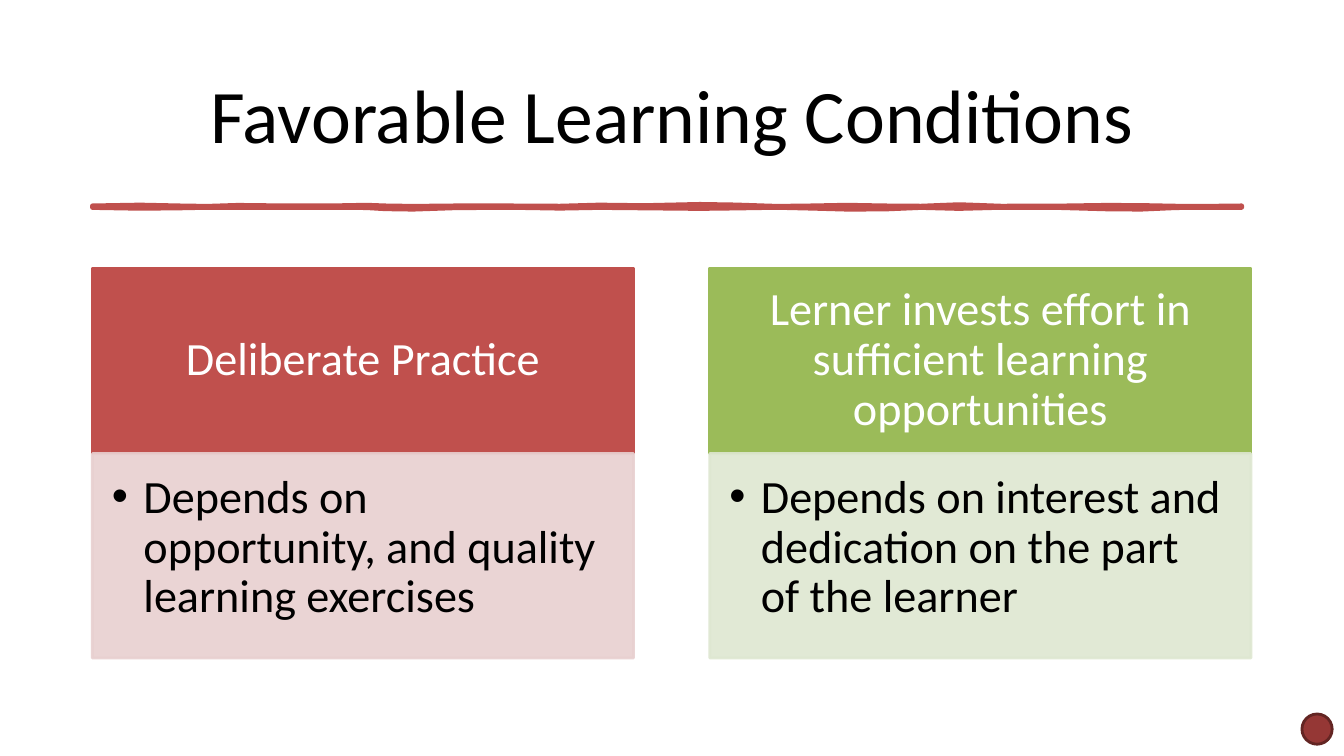
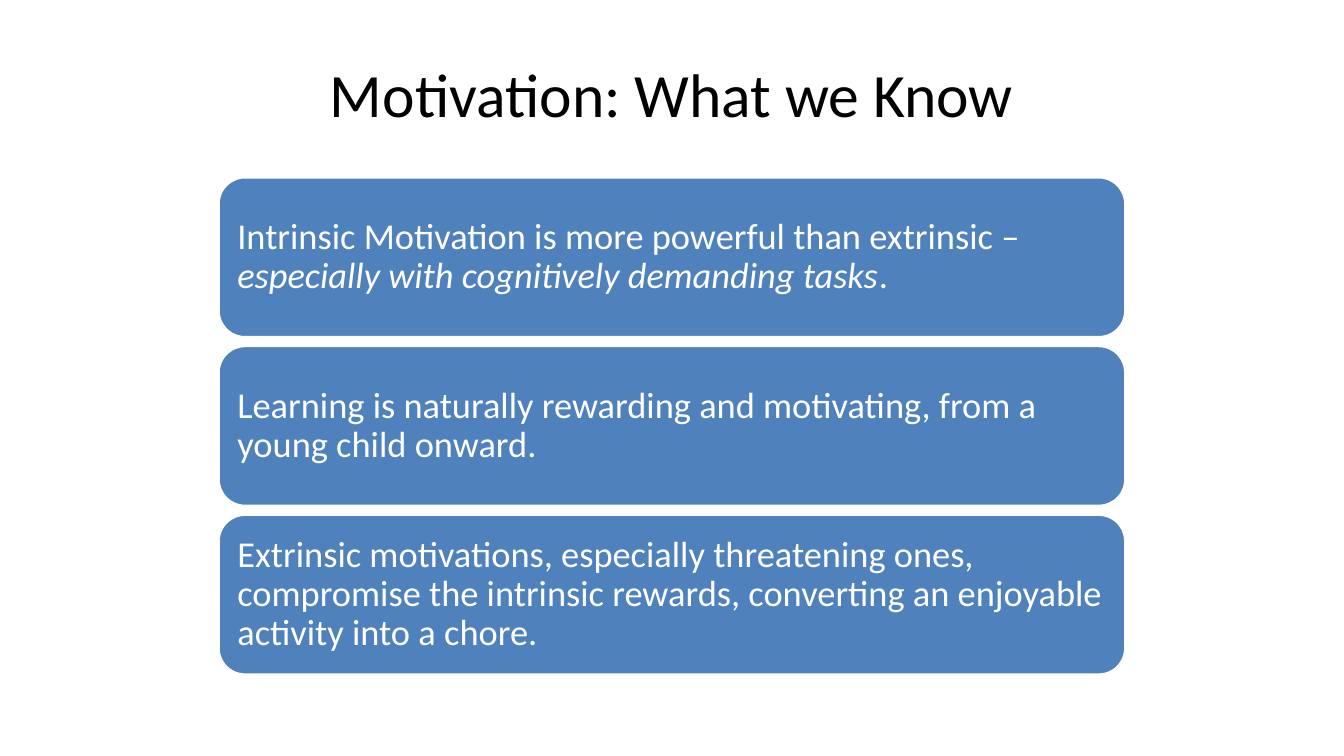
from dataclasses import dataclass

from lxml import etree
from pptx import Presentation
from pptx.dml.color import RGBColor
from pptx.enum.shapes import MSO_SHAPE
from pptx.enum.text import MSO_ANCHOR, PP_ALIGN
from pptx.oxml.ns import qn
from pptx.util import Pt

RECT, ROUND, OVAL = MSO_SHAPE.RECTANGLE, MSO_SHAPE.ROUNDED_RECTANGLE, MSO_SHAPE.OVAL
TOP, MIDDLE = MSO_ANCHOR.TOP, MSO_ANCHOR.MIDDLE
LEFT, CENTER = PP_ALIGN.LEFT, PP_ALIGN.CENTER


@dataclass(frozen=True)
class Theme:
    font: str = "Calibri"
    black: str = "000000"
    white: str = "FFFFFF"
    red: str = "C0504D"
    pink: str = "E8D0D0"
    green: str = "9BBB59"
    mint: str = "DEE7D1"
    blue: str = "4F81BD"
    dot: str = "953735"
    rim: str = "632523"
    large: int = 54
    title: int = 44
    pane: int = 33
    card: int = 26


T = Theme()
WIDTH, HEIGHT = 960, 540

PANES = [
    ("Deliberate Practice", T.red,
     "Depends on opportunity, and quality learning exercises", T.pink),
    ("Lerner invests effort in sufficient learning opportunities", T.green,
     "Depends on interest and dedication on the part of the learner", T.mint),
]

# Each card is a list of (text, italic) runs.
CARDS = [
    [("Intrinsic Motivation is more powerful than extrinsic – ", False),
     ("especially with cognitively demanding tasks", True), (".", False)],
    [("Learning is naturally rewarding and motivating, from a young child onward.",
      False)],
    [("Extrinsic motivations, especially threatening ones, compromise the "
      "intrinsic rewards, converting an enjoyable activity into a chore.", False)],
]

# Brush stroke: x, upper edge, lower edge.
STROKE = [
    (66, 147, 148.3), (100, 146.4, 148.9), (128, 147, 148.6), (148, 147.3, 148.2),
    (170, 146.6, 148.3), (205, 147, 148.2), (240, 146.9, 148.2), (262, 146.5, 148.4),
    (275, 147, 149.2), (295, 147.3, 149.5), (325, 147, 148.5), (365, 147, 148.2),
    (400, 147.2, 148.8), (428, 146.4, 148.3), (460, 146.8, 148.6), (500, 145.9, 149),
    (525, 146.3, 148.7), (555, 147.3, 148.2), (580, 147, 148.8), (605, 146.5, 149.5),
    (632, 147, 149.4), (658, 147.2, 148.3), (685, 146.1, 149), (715, 147.2, 148.2),
    (755, 147.1, 148.3), (790, 146.6, 149.3), (815, 146.7, 149.5), (840, 147.2, 148.4),
    (860, 147.3, 148.2), (887, 147, 148.2),
]


def paint(shape, fill, line, weight):
    shape.shadow.inherit = False
    shape.fill.solid()
    shape.fill.fore_color.rgb = RGBColor.from_string(fill)
    shape.line.color.rgb = RGBColor.from_string(line)
    shape.line.width = Pt(weight)


def add_box(slide, kind, box, fill, line):
    shape = slide.shapes.add_shape(kind, *map(Pt, box))
    paint(shape, fill, line, 2)
    return shape


def fade(shape, share):
    """Make fill and line partly clear."""
    for color in shape.fill._xPr.iter(qn("a:srgbClr")):
        etree.SubElement(color, qn("a:alpha"), val=str(share * 1000))


def add_bullet(para, indent):
    props = para._p.get_or_add_pPr()
    props.set("marL", str(Pt(indent)))
    props.set("indent", str(-Pt(indent)))
    etree.SubElement(props, qn("a:buFont"), typeface="Arial")
    etree.SubElement(props, qn("a:buChar"), char="•")


def write(shape, runs, size, color, align=LEFT, anchor=MIDDLE,
          insets=(8, 8, 8, 8), spacing=0.9, bullet=0):
    frame = shape.text_frame
    frame.word_wrap = True
    frame.vertical_anchor = anchor
    (frame.margin_left, frame.margin_top,
     frame.margin_right, frame.margin_bottom) = map(Pt, insets)
    para = frame.paragraphs[0]
    para.alignment = align
    para.line_spacing = spacing
    if bullet:
        add_bullet(para, bullet)
    font = para.font
    font.name, font.size = T.font, Pt(size)
    font.color.rgb = RGBColor.from_string(color)
    for text, slant in runs:
        run = para.add_run()
        run.text = text
        if slant:
            run.font.italic = True


def add_title(slide, text, box, size):
    title = slide.shapes.add_textbox(*map(Pt, box))
    write(title, [(text, False)], size, T.black, CENTER,
          insets=(7.2, 3.6, 7.2, 3.6), spacing=1)


def add_stroke(slide):
    upper = [(Pt(x), Pt(top)) for x, top, _ in STROKE]
    lower = [(Pt(x), Pt(low)) for x, _, low in reversed(STROKE)]
    pen = slide.shapes.build_freeform(*upper[0])
    pen.add_line_segments(upper[1:] + lower, close=True)
    paint(pen.convert_to_shape(), T.red, T.red, 3.25)


def add_panes(slide):
    left, top, width, step = 66, 191.5, 386.6, 441
    head_h, body_h = 132.5, 146
    for i, (head, dark, body, pale) in enumerate(PANES):
        x = left + i * step
        shape = add_box(slide, RECT, (x, top, width, head_h), dark, dark)
        write(shape, [(head, False)], T.pane, T.white, CENTER,
              insets=(18.5, 10.5, 18.5, 10.5))
        shape = add_box(slide, RECT, (x, top + head_h, width, body_h), pale, pale)
        fade(shape, 90)
        write(shape, [(body, False)], T.pane, T.black, anchor=TOP,
              insets=(14, 14, 18.5, 21), bullet=22.5)


def add_cards(slide):
    left, top, width, height, gap = 156, 126.5, 648, 114.5, 6
    for i, runs in enumerate(CARDS):
        y = top + i * (height + gap)
        shape = add_box(slide, ROUND, (left, y, width, height), T.blue, T.white)
        write(shape, runs, T.card, T.white)


def main():
    deck = Presentation()
    deck.slide_width, deck.slide_height = Pt(WIDTH), Pt(HEIGHT)
    blank = deck.slide_layouts[6]

    slide = deck.slides.add_slide(blank)
    add_title(slide, "Favorable Learning Conditions", (66, 29, 828, 104), T.large)
    add_stroke(slide)
    add_panes(slide)
    add_box(slide, OVAL, (930, 510, 21.6, 21.6), T.dot, T.rim)

    slide = deck.slides.add_slide(blank)
    add_title(slide, "Motivation: What we Know", (48, 21.6, 864, 90), T.title)
    add_cards(slide)

    deck.save("out.pptx")


if __name__ == "__main__":
    main()
